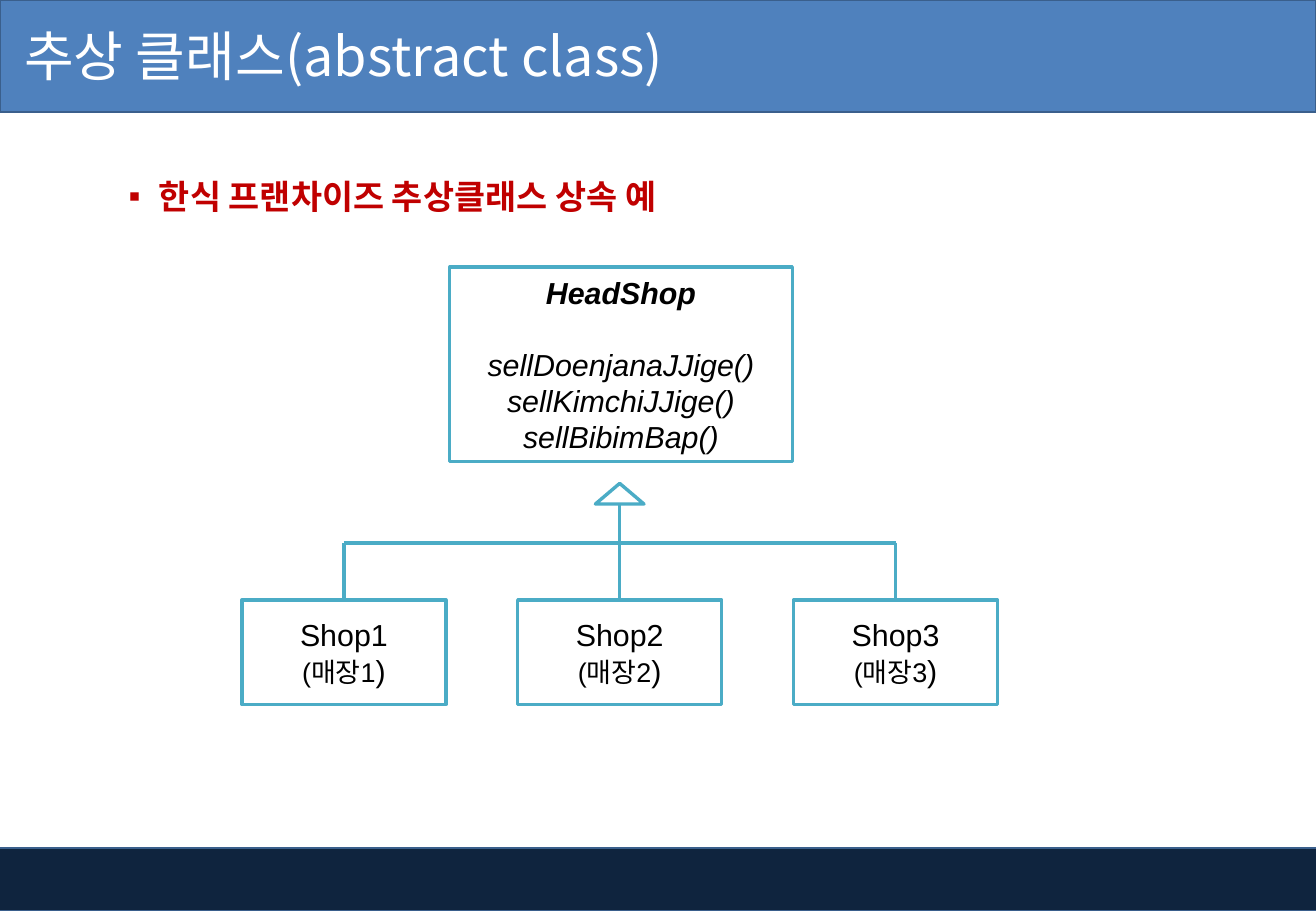
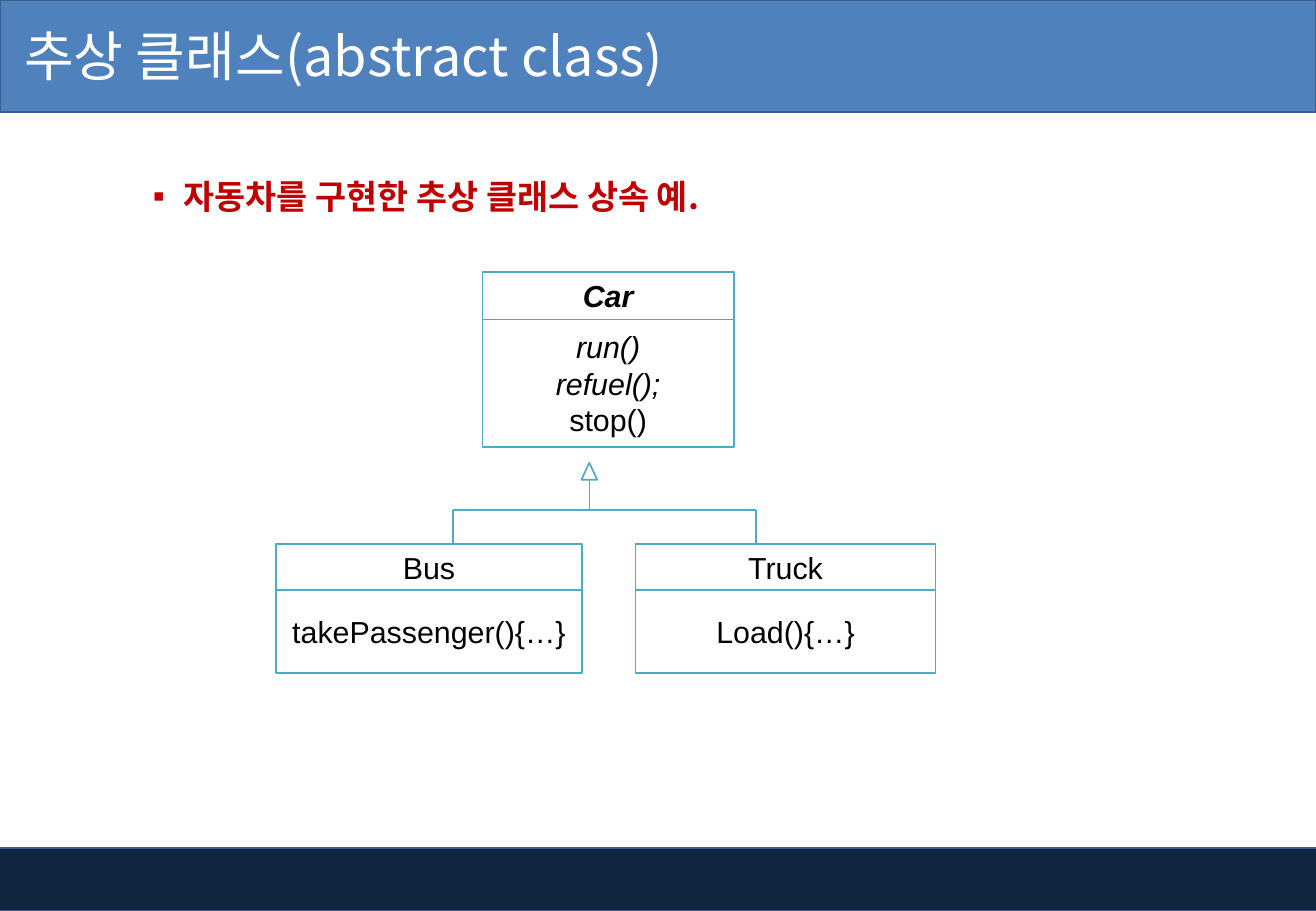
from lxml import etree
from pptx import Presentation
from pptx.dml.color import RGBColor
from pptx.enum import shapes as sh, text as tx
from pptx.oxml import ns
from pptx.util import Inches, Pt

WHITE = RGBColor(0xFF, 0xFF, 0xFF)
BLACK = RGBColor(0, 0, 0)
BLUE = RGBColor(0x4F, 0x81, 0xBD)
NAVY = RGBColor(0x0F, 0x24, 0x3E)
EDGE = RGBColor(0x3A, 0x5F, 0x8C)
TEAL = RGBColor(0x4B, 0xAC, 0xC6)
RED = RGBColor(0xC0, 0, 0)
LATIN = "Arial"
KOREAN = "Noto Sans CJK KR"
WIDE, HIGH = 10.83, 7.5
RECT = sh.MSO_SHAPE.RECTANGLE
PEAK = sh.MSO_SHAPE.ISOSCELES_TRIANGLE


def write(para, words, size=18, font=LATIN, color=BLACK, bold=False, italic=False):
    run = para.add_run()
    run.text = words
    style = run.font
    style.size, style.name = Pt(size), font
    style.bold, style.italic = bold, italic
    style.color.rgb = color
    east = etree.SubElement(run.font._element, ns.qn("a:ea"))
    east.set("typeface", KOREAN)


def shape(slide, box, kind=RECT, fill=WHITE, line=TEAL, weight=1):
    item = slide.shapes.add_shape(kind, *map(Inches, box))
    item.shadow.inherit = False
    item.fill.solid()
    item.fill.fore_color.rgb = fill
    item.line.color.rgb = line
    item.line.width = Pt(weight)
    return item


def panel(slide, box, lines, weight=1, gap=0):
    item = shape(slide, box, weight=weight)
    frame = item.text_frame
    frame.word_wrap = True
    frame.vertical_anchor = tx.MSO_ANCHOR.MIDDLE
    for i, runs in enumerate(lines):
        para = frame.add_paragraph() if i else frame.paragraphs[0]
        para.alignment = tx.PP_ALIGN.CENTER
        if i == 1:
            para.space_before = Pt(gap)
        for words, style in runs:
            write(para, words, **style)
    return item


def label(slide, box):
    frame = slide.shapes.add_textbox(*map(Inches, box)).text_frame
    frame.word_wrap = True
    return frame


def line(slide, start, end, weight, goal=None):
    item = slide.shapes.add_connector(
        sh.MSO_CONNECTOR.STRAIGHT, *map(Inches, start + end))
    item.line.color.rgb = TEAL
    item.line.width = Pt(weight)
    etree.SubElement(item._element.spPr, ns.qn("a:effectLst"))
    if goal is not None:
        item.end_connect(goal, 0)


def tree(slide, tip, size, rail, foot, ends, weight, goals=()):
    x, top = tip
    wide, high = size
    shape(slide, (x - wide / 2, top, wide, high), PEAK, weight=weight)
    line(slide, (x, top + high), (x, rail), weight)
    line(slide, (ends[0], rail), (ends[-1], rail), weight)
    for i, end in enumerate(ends):
        goal = goals[i] if goals else None
        line(slide, (end, rail), (end, foot), weight, goal)


def base(deck, topic, left, wide):
    slide = deck.slides.add_slide(deck.slide_layouts[6])
    shape(slide, (-0.04, 6.98, WIDE + 0.05, 0.52), fill=NAVY, line=EDGE)
    shape(slide, (0, 0, WIDE, 0.92), fill=BLUE, line=EDGE)
    title = label(slide, (0, -0.02, 6.78, 0.94))
    title.margin_left = Inches(0.2)
    title.vertical_anchor = tx.MSO_ANCHOR.MIDDLE
    write(title.paragraphs[0], "추상 클래스(abstract class)",
          size=32, font=KOREAN, color=WHITE)
    para = label(slide, (left, 1.23, wide, 0.63)).paragraphs[0]
    para.line_spacing = 1.5
    para.space_before = Pt(10)
    props = para._p.get_or_add_pPr()
    props.set("marL", str(Inches(0.25)))
    props.set("indent", str(Inches(-0.25)))
    etree.SubElement(props, ns.qn("a:buFont")).set("typeface", LATIN)
    etree.SubElement(props, ns.qn("a:buChar")).set("char", "▪")
    write(para, topic, size=20, font=KOREAN, color=RED, bold=True)
    return slide


def shops(deck):
    slide = base(deck, "한식 프랜차이즈 추상클래스 상속 예", 0.96, 5.88)
    calls = ("sellDoenjanaJJige()", "sellKimchiJJige()", "sellBibimBap()")
    head = [[("HeadShop", dict(bold=True, italic=True))]]
    head += [[(call, dict(italic=True))] for call in calls]
    panel(slide, (3.7, 2.2, 2.82, 1.6), head, weight=2, gap=21)
    left, top, wide, step = 1.99, 4.94, 1.68, 2.27
    goals, ends = [], []
    for i in range(3):
        x = left + i * step
        rows = [[(f"Shop{i + 1}", {})],
                [(f"(매장{i + 1}", dict(size=16)), (")", {})]]
        goals.append(panel(slide, (x, top, wide, 0.86), rows, weight=2))
        ends.append(x + wide / 2)
    tree(slide, (ends[1], 3.98), (0.4, 0.17), 4.47, top, ends, 2, goals)


def entry(slide, box, cut, name, rows, **style):
    x, y, wide, high = box
    panel(slide, (x, y, wide, cut), [[(name, style)]])
    panel(slide, (x, y + cut, wide, high - cut), rows)


def cars(deck):
    slide = base(deck, "자동차를 구현한 추상 클래스 상속 예.", 1.16, 6.54)
    slant = dict(italic=True)
    entry(slide, (3.97, 2.24, 2.07, 1.44), 0.39, "Car",
          [[("run()", slant)], [("refuel();", slant)], [("stop()", {})]],
          bold=True, italic=True)
    top = 4.48
    for x, wide, name, call in ((2.27, 2.52, "Bus", "takePassenger(){…}"),
                                (5.23, 2.47, "Truck", "Load(){…}")):
        entry(slide, (x, top, wide, 1.06), 0.38, name, [[(call, {})]])
    tree(slide, (4.85, 3.81), (0.13, 0.14), 4.2, top, (3.73, 6.22), 1)


def main():
    deck = Presentation()
    deck.slide_width, deck.slide_height = Inches(WIDE), Inches(HIGH)
    shops(deck)
    cars(deck)
    deck.save("out.pptx")


if __name__ == "__main__":
    main()
